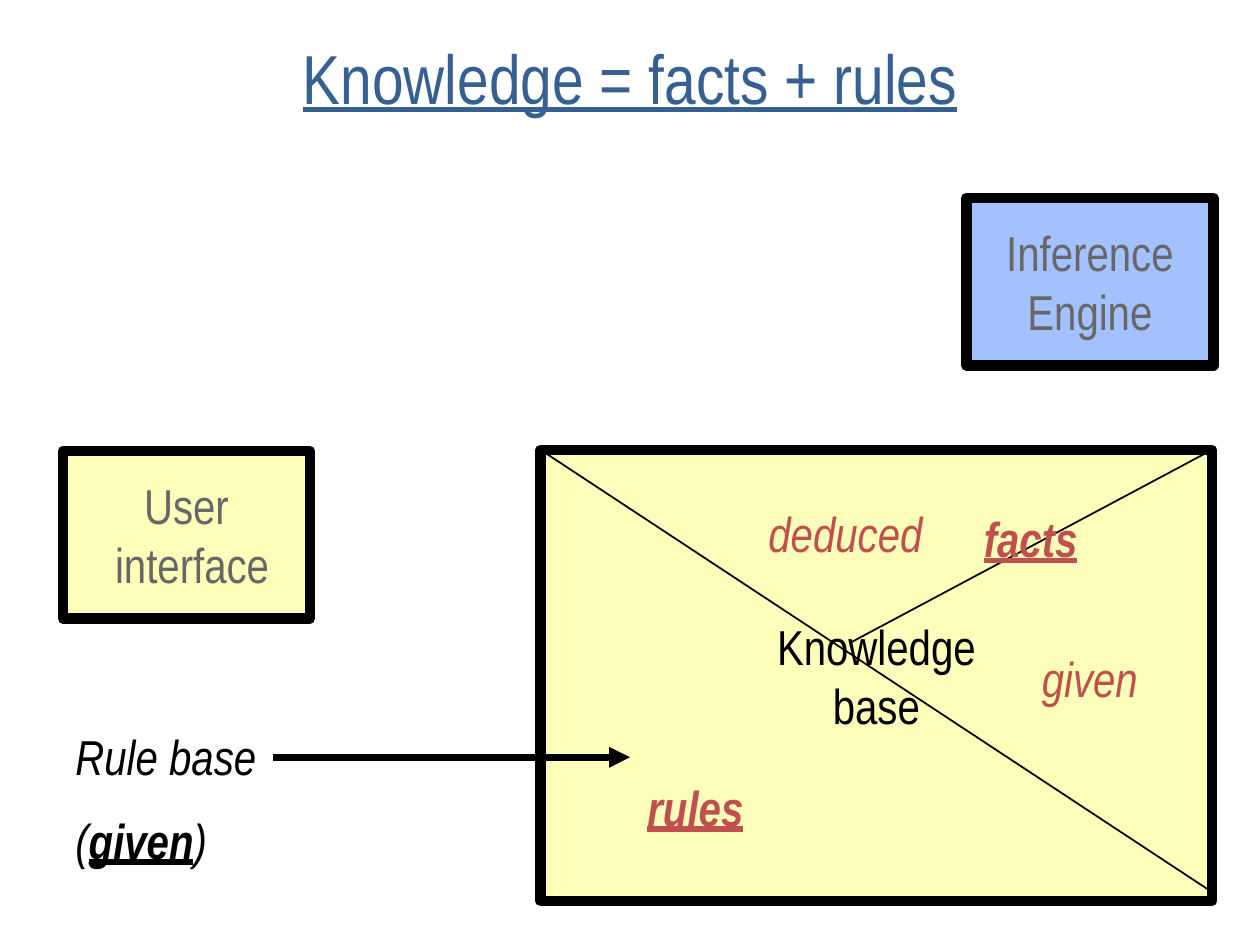
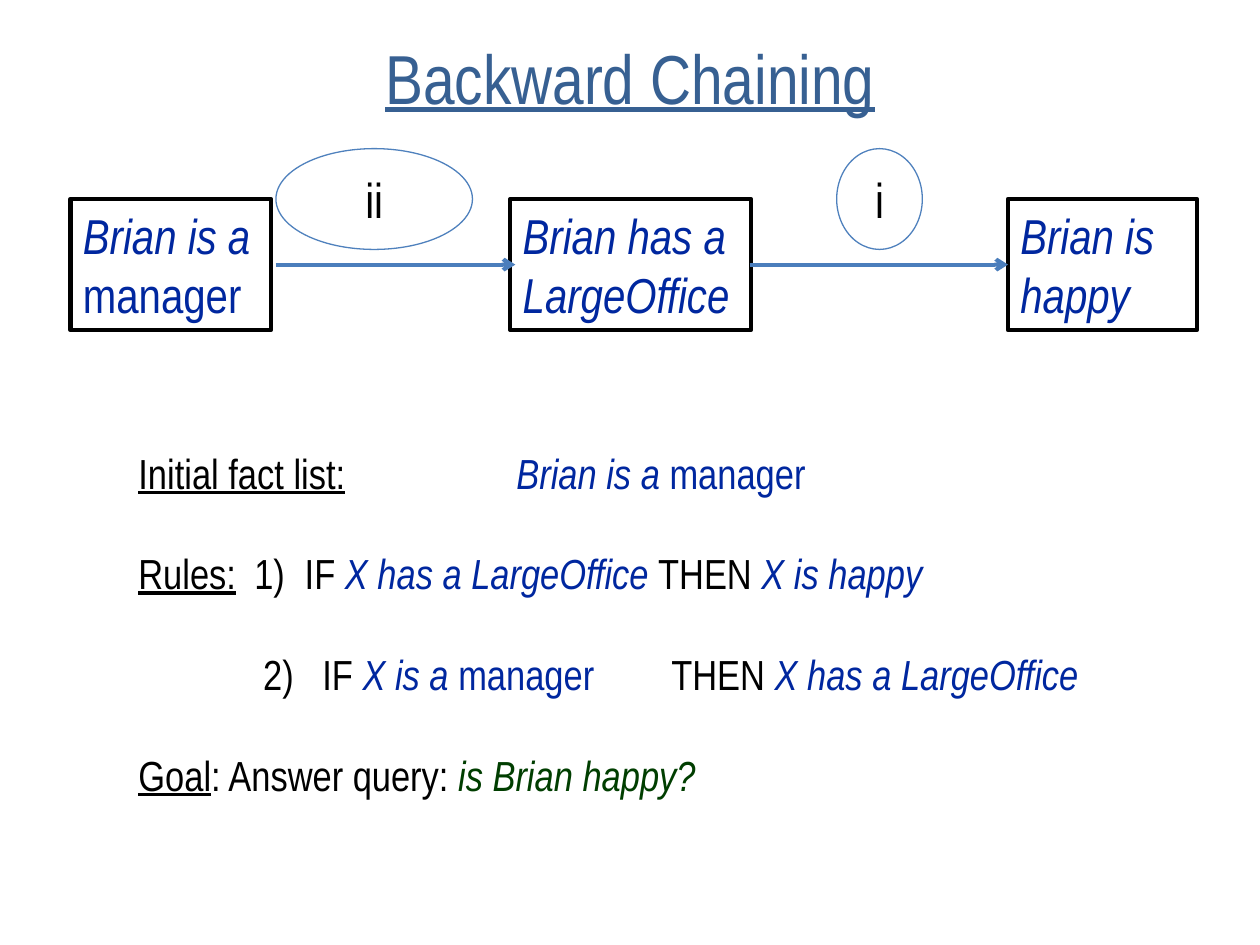
from lxml import etree
from pptx import Presentation
from pptx import util as u
from pptx.dml.color import RGBColor
from pptx.enum import shapes, text
from pptx.oxml import ns

Inches, Pt = u.Inches, u.Pt
FONT = "Arial Narrow"
COLOURS = {
    "title": "376092", "black": "000000", "grey": "676767", "white": "FFFFFF",
    "yellow": "FCFEB9", "blue": "A2C1FE", "red": "C0504D", "fact": "00279F",
    "query": "003E00", "arrow": "4B7EBC", "ellipse": "4F81BD",
}
LEFT, CENTRE = text.PP_ALIGN.LEFT, text.PP_ALIGN.CENTER
TITLE_BOX = (0.5, 0.3, 9, 0.62)


def colour(name):
    """Return the named colour."""
    return RGBColor.from_string(COLOURS[name])


def add_tabs(paragraph, stops):
    """Set left tab stops, in inches from the text edge."""
    tab_list = etree.SubElement(paragraph._p.get_or_add_pPr(), ns.qn("a:tabLst"))
    for stop in stops:
        etree.SubElement(tab_list, ns.qn("a:tab"), pos=str(Inches(stop)), algn="l")


def write(shape, paragraphs, size=28, align=LEFT, middle=True, wrap=True, gap=0):
    """Fill a shape with paragraphs of (text, colour, style letters b, i, u) runs."""
    frame = shape.text_frame
    frame.word_wrap = wrap
    frame.vertical_anchor = text.MSO_ANCHOR.MIDDLE if middle else text.MSO_ANCHOR.TOP
    for index, runs in enumerate(paragraphs):
        paragraph = frame.add_paragraph() if index else frame.paragraphs[0]
        paragraph.alignment = align
        paragraph.space_before = Pt(gap if index else 0)
        for words, name, style in runs:
            run = paragraph.add_run()
            run.text = words
            run.font.name, run.font.size = FONT, Pt(size)
            run.font.color.rgb = colour(name)
            run.font.bold = "b" in style
            run.font.italic = "i" in style
            run.font.underline = "u" in style


def add_text(slide, box, paragraphs, **options):
    """Add a text box at box = (left, top, width, height)."""
    shape = slide.shapes.add_textbox(*map(Inches, box))
    write(shape, paragraphs, **options)
    return shape


def add_box(slide, box, paragraphs, fill, line, width,
            kind=shapes.MSO_SHAPE.RECTANGLE, **options):
    """Add an outlined shape with text; fill may be None."""
    shape = slide.shapes.add_shape(kind, *map(Inches, box))
    shape.shadow.inherit = False
    if fill:
        shape.fill.solid()
        shape.fill.fore_color.rgb = colour(fill)
    else:
        shape.fill.background()
    shape.line.color.rgb = colour(line)
    shape.line.width = Pt(width)
    write(shape, paragraphs, **options)


def add_line(slide, start, end, name, width, head=None):
    """Draw a straight line, with an optional arrowhead at its end."""
    line = slide.shapes.add_connector(
        shapes.MSO_CONNECTOR.STRAIGHT, *map(Inches, start + end))
    line.line.color.rgb = colour(name)
    line.line.width = Pt(width)
    if head:
        etree.SubElement(line.line._get_or_add_ln(), ns.qn("a:tailEnd"), type=head)
    etree.SubElement(line._element.spPr, ns.qn("a:effectLst"))


def new_slide(presentation, title):
    """Add a blank slide with the shared title."""
    slide = presentation.slides.add_slide(presentation.slide_layouts[6])
    add_text(slide, TITLE_BOX, [[(title, "title", "u")]], size=39.6, align=CENTRE)
    return slide


def component(slide, box, lines, fill, ink="grey"):
    """Draw a thick-framed part of the system with centred lines."""
    add_box(slide, box, [[(line, ink, "")] for line in lines], fill, "black", 6,
            align=CENTRE, wrap=False)


def knowledge_base(slide, box):
    """Draw the knowledge base, split into rules, given and deduced facts."""
    left, top, width, height = box
    component(slide, box, ["Knowledge", "base"], "yellow", "black")
    add_line(slide, (left - 0.03, top - 0.02),
             (left + width + 0.03, top + height - 0.05), "black", 1)
    add_line(slide, (left + width, top), (left + 2.46, top + 1.53), "black", 1)
    labels = [("rules", "biu", 0.75, 2.55, 1.33), ("facts", "biu", 3.42, 0.42, 1.04),
              ("given", "i", 3.88, 1.53, 1.33), ("deduced", "i", 1.71, 0.38, 1.62)]
    for words, style, across, down, label_width in labels:
        add_text(slide, (left + across, top + down, label_width, 0.57),
                 [[(words, "red", style)]], middle=False)


def rule_base(slide, box):
    """Write the rule base note with its arrow to the rules."""
    left, top = box[:2]
    add_text(slide, box, [
        [("Rule base", "black", "i")],
        [("(", "black", "i"), ("given", "black", "biu"), (")", "black", "i")],
    ], middle=False, gap=14)
    add_line(slide, (left + 1.67, top + 0.29), (left + 4.5, top + 0.29),
             "black", 4, "triangle")


def chain(slide, box):
    """Draw three facts joined by arrows, each arrow numbered in an ellipse."""
    left, top, _, height = box
    facts = [
        (0, 1.59, [[("Brian is a ", "fact", "i"), ("manager", "fact", "")]]),
        (3.49, 1.91, [[("Brian has a", "fact", "i")], [("LargeOffice", "fact", "i")]]),
        (7.44, 1.5, [[("Brian is happy", "fact", "i")]]),
    ]
    for across, width, paragraphs in facts:
        add_box(slide, (left + across, top, width, height), paragraphs,
                "white", "black", 2.5)
    middle = top + height / 2
    steps = [("i", 5.39, 7.44, 6.08, 0.68), ("ii", 1.63, 3.53, 1.63, 1.56)]
    for numeral, start, end, across, width in steps:
        add_line(slide, (left + start, middle), (left + end, middle),
                 "arrow", 2.25, "arrow")
        add_box(slide, (left + across, top - 0.4, width, 0.8),
                [[(numeral, "black", "")]], None, "ellipse", 0.75,
                kind=shapes.MSO_SHAPE.OVAL, align=CENTRE, wrap=False)


def problem(slide, box):
    """Write the facts, the rules and the goal, aligned with tab stops."""
    rows = [
        ([3], [("Initial fact list:", "black", "u"), ("\t", "black", ""),
               ("Brian is a ", "fact", "i"), ("manager", "fact", "")]),
        ([0.92, 1.32], [("Rules:\t", "black", "u"), ("1)\tIF ", "black", ""),
                        ("X has a LargeOffice ", "fact", "i"), ("THEN ", "black", ""),
                        ("X is happy", "fact", "i")]),
        ([0.99, 1.46, 4.23], [("\t2)\tIF ", "black", ""), ("X is a ", "fact", "i"),
                              ("manager\t", "fact", ""), ("THEN ", "black", ""),
                              ("X has a LargeOffice", "fact", "i")]),
        ([], [("Goal", "black", "u"), (": Answer query: ", "black", ""),
              ("is Brian happy?", "query", "i")]),
    ]
    shape = add_text(slide, box, [runs for _, runs in rows], size=24,
                     middle=False, gap=28.8)
    for paragraph, (stops, _) in zip(shape.text_frame.paragraphs, rows):
        if stops:
            add_tabs(paragraph, stops)


def knowledge_slide(presentation):
    """Build the slide on facts and rules."""
    slide = new_slide(presentation, "Knowledge = facts + rules")
    knowledge_base(slide, (4.29, 3.57, 5.33, 3.58))
    component(slide, (7.67, 1.57, 1.96, 1.33), ["Inference", "Engine"], "blue")
    component(slide, (0.5, 3.58, 1.96, 1.33), ["User", " interface"], "yellow")
    rule_base(slide, (0.5, 5.72, 3.41, 1.28))


def chaining_slide(presentation):
    """Build the slide on backward chaining."""
    slide = new_slide(presentation, "Backward Chaining")
    problem(slide, (1, 3.5, 7.92, 2.93))
    chain(slide, (0.56, 1.58, 8.94, 1.04))


presentation = Presentation()
presentation.slide_width, presentation.slide_height = Inches(10), Inches(7.5)
knowledge_slide(presentation)
chaining_slide(presentation)
presentation.save("out.pptx")
